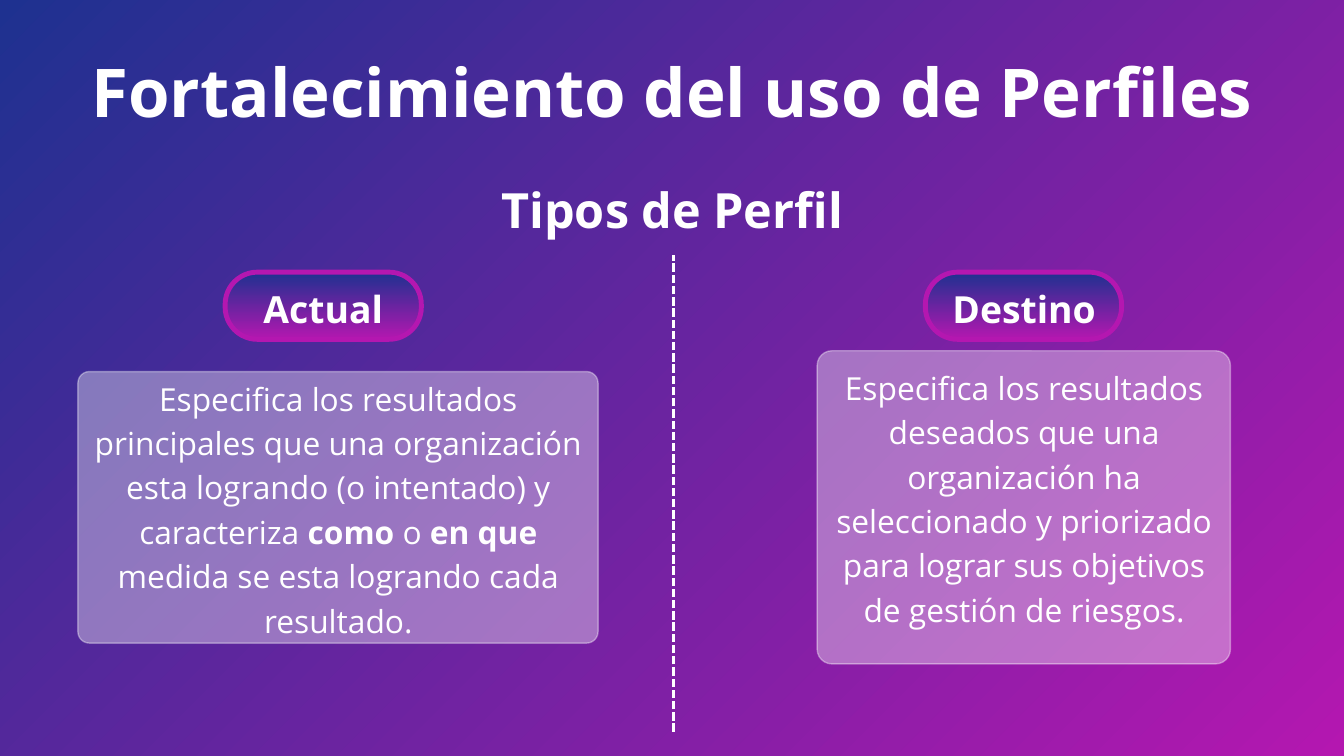
from dataclasses import dataclass
from typing import Any

from lxml import etree
from pptx import Presentation
from pptx.dml.color import RGBColor
from pptx.enum.dml import MSO_LINE
from pptx.enum.shapes import MSO_CONNECTOR, MSO_SHAPE
from pptx.enum.text import MSO_ANCHOR, MSO_AUTO_SIZE, PP_ALIGN
from pptx.oxml.ns import qn
from pptx.util import Inches, Pt

ROUNDED = MSO_SHAPE.ROUNDED_RECTANGLE
STRAIGHT = MSO_CONNECTOR.STRAIGHT
DASHED = MSO_LINE.SQUARE_DOT
COLORS = {"white": "FFFFFF", "blue": "1E3190", "magenta": "B417B0"}
COLUMNS, ROWS = 20, 11.25
FRAME = {"margin_left": 0, "margin_top": 0, "margin_right": 0, "margin_bottom": 0,
         "vertical_anchor": MSO_ANCHOR.TOP, "auto_size": MSO_AUTO_SIZE.NONE}
LEADING = 1.4
PILL_SIZE = (2.92, 1)
PILL_TOP, LABEL_TOP, LABEL_HEIGHT = 4.05, 4.14, 0.74

PROFILES = [
    {"label": "Actual", "pill_left": 3.35, "label_left": 3.92, "label_width": 1.78,
     "body": (1.36, 5.55, 7.35, 3.92), "panel": (1.16, 5.53, 7.74, 4.04), "radius": 0.17,
     "spans": [("Especifica los resultados principales que una organización esta "
                "logrando (o intentado) y caracteriza ", False),
               ("como", True), (" o ", False), ("en que ", True),
               ("medida se esta logrando cada resultado.", False)]},
    {"label": "Destino", "pill_left": 13.77, "label_left": 14.17, "label_width": 2.14,
     "body": (12.29, 5.39, 5.9, 3.92), "panel": (12.16, 5.22, 6.15, 4.66), "radius": 0.22,
     "spans": [("Especifica los resultados deseados que una organización ha "
                "seleccionado y priorizado para lograr sus objetivos de gestión "
                "de riesgos.", False)]},
]


def color(name):
    """Return the named palette colour."""
    return RGBColor.from_string(COLORS[name])


def apply(target, values):
    """Set each attribute of the target from a dict."""
    for name, value in values.items():
        setattr(target, name, value)


@dataclass
class SlideBuilder:
    """Hold the style and the current slide, and draw its elements."""
    page: Any
    column: float
    row: float
    font: str = "Open Sans"

    def place(self, left, top, width, height):
        """Turn grid columns and rows into slide lengths."""
        return (round(left * self.column), round(top * self.row),
                round(width * self.column), round(height * self.row))

    def gradient(self, fill, angle):
        """Fill with the blue to magenta gradient, angle clockwise."""
        fill.gradient()
        fill.gradient_angle = 360 - angle
        for stop, name in zip(fill.gradient_stops, ("blue", "magenta")):
            stop.color.rgb = color(name)

    def set_text(self, box, spans, size, wrap=False):
        """Put one centred paragraph of (text, bold) spans in a box."""
        frame = box.text_frame
        apply(frame, {**FRAME, "word_wrap": wrap})
        para = frame.paragraphs[0]
        if box.is_placeholder:
            properties = para._p.get_or_add_pPr()
            properties.set("marL", "0")
            properties.set("indent", "0")
            etree.SubElement(properties, qn("a:buNone"))
        apply(para, {"alignment": PP_ALIGN.CENTER, "line_spacing": Pt(size * LEADING),
                     "space_before": Pt(0)})
        for text, bold in spans:
            span = para.add_run()
            span.text = text
            apply(span.font, {"name": self.font, "size": Pt(size), "bold": bold})
            span.font.color.rgb = color("white")

    def placeholder(self, index, area, spans, size, wrap=False):
        """Move and fill one of the layout's placeholders."""
        box = self.page.placeholders[index]
        apply(box, dict(zip(("left", "top", "width", "height"), self.place(*area))))
        self.set_text(box, spans, size, wrap)

    def heading(self, area, text, size):
        """Add a bold one-line text box."""
        self.set_text(self.page.shapes.add_textbox(*self.place(*area)), [(text, True)], size)

    def rounded(self, area, radius, line, width):
        """Add an outlined rounded rectangle."""
        shape = self.page.shapes.add_shape(ROUNDED, *self.place(*area))
        shape.adjustments[0] = radius / min(area[2:])
        shape.shadow.inherit = False
        shape.line.color.rgb = color(line)
        shape.line.width = Pt(width)
        return shape

    def pill(self, left):
        """Add a gradient pill behind a label."""
        shape = self.rounded((left, PILL_TOP, *PILL_SIZE), 0.48, "magenta", 5.25)
        self.gradient(shape.fill, 90)

    def panel(self, area, radius):
        """Add a translucent white panel."""
        shape = self.rounded(area, radius, "white", 1.5)
        shape.fill.solid()
        shape.fill.fore_color.rgb = color("white")
        for node in shape._element.spPr.iter(qn("a:srgbClr")):
            etree.SubElement(node, qn("a:alpha"), val="37000")

    def divider(self, column, top, bottom):
        """Add a dashed vertical line."""
        x, y, _, length = self.place(column, top, 0, bottom - top)
        line = self.page.shapes.add_connector(STRAIGHT, x, y + length, x, y)
        line.line.color.rgb = color("white")
        apply(line.line, {"width": Pt(3), "dash_style": DASHED})
        etree.SubElement(line._element.spPr, qn("a:effectLst"))


def main():
    """Build the slide and save it."""
    deck = Presentation()
    apply(deck, {"slide_width": Inches(COLUMNS), "slide_height": Inches(ROWS)})
    page = deck.slides.add_slide(deck.slide_layouts.get_by_name("Two Content"))
    builder = SlideBuilder(page, deck.slide_width / COLUMNS, deck.slide_height / ROWS)
    builder.gradient(page.background.fill, 45)
    builder.placeholder(0, (1.36, 0.55, 17.29, 1.34),
                        [("Fortalecimiento del uso de Perfiles", True)], 72)
    builder.heading((7.46, 2.53, 5.09, 0.97), "Tipos de Perfil", 52)
    builder.divider(10.02, 3.79, 10.89)
    for index, profile in enumerate(PROFILES, start=1):
        builder.pill(profile["pill_left"])
        builder.heading((profile["label_left"], LABEL_TOP, profile["label_width"],
                         LABEL_HEIGHT), profile["label"], 40)
        builder.placeholder(index, profile["body"], profile["spans"], 34, wrap=True)
        builder.panel(profile["panel"], profile["radius"])
    deck.save("out.pptx")


if __name__ == "__main__":
    main()
